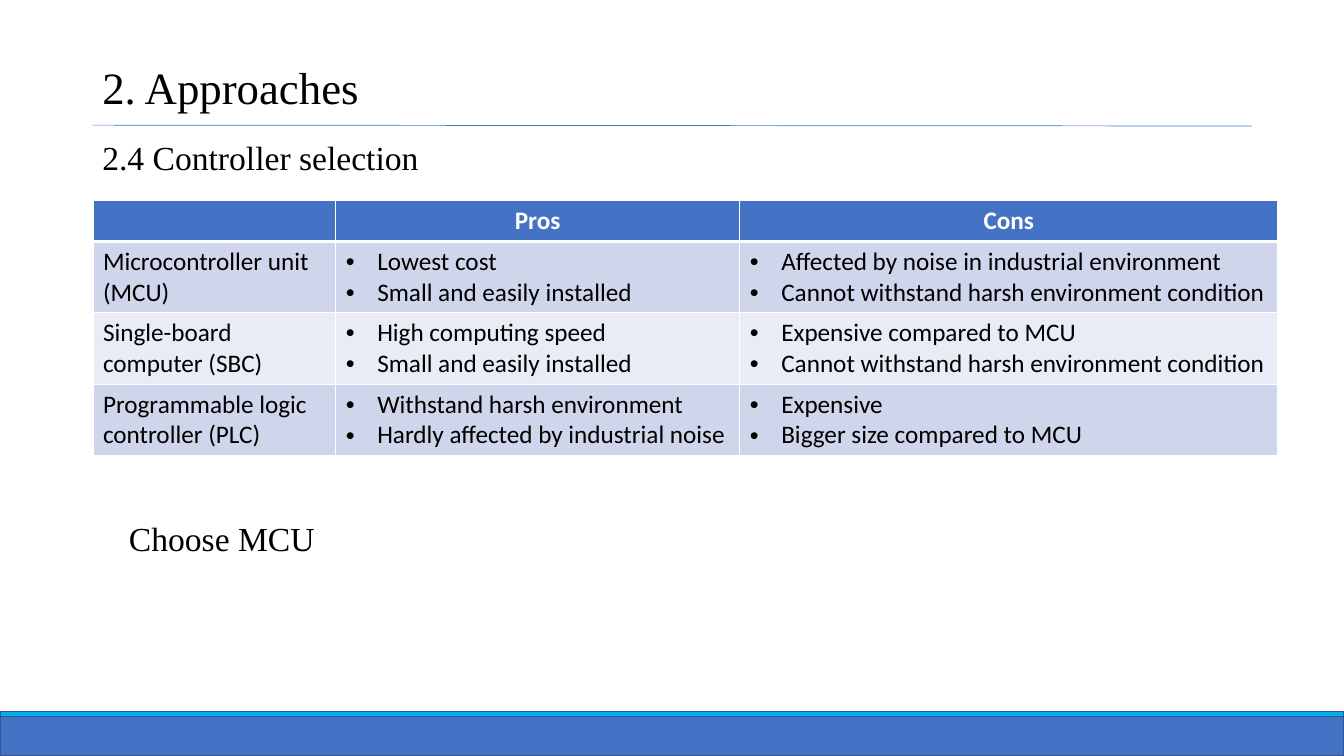
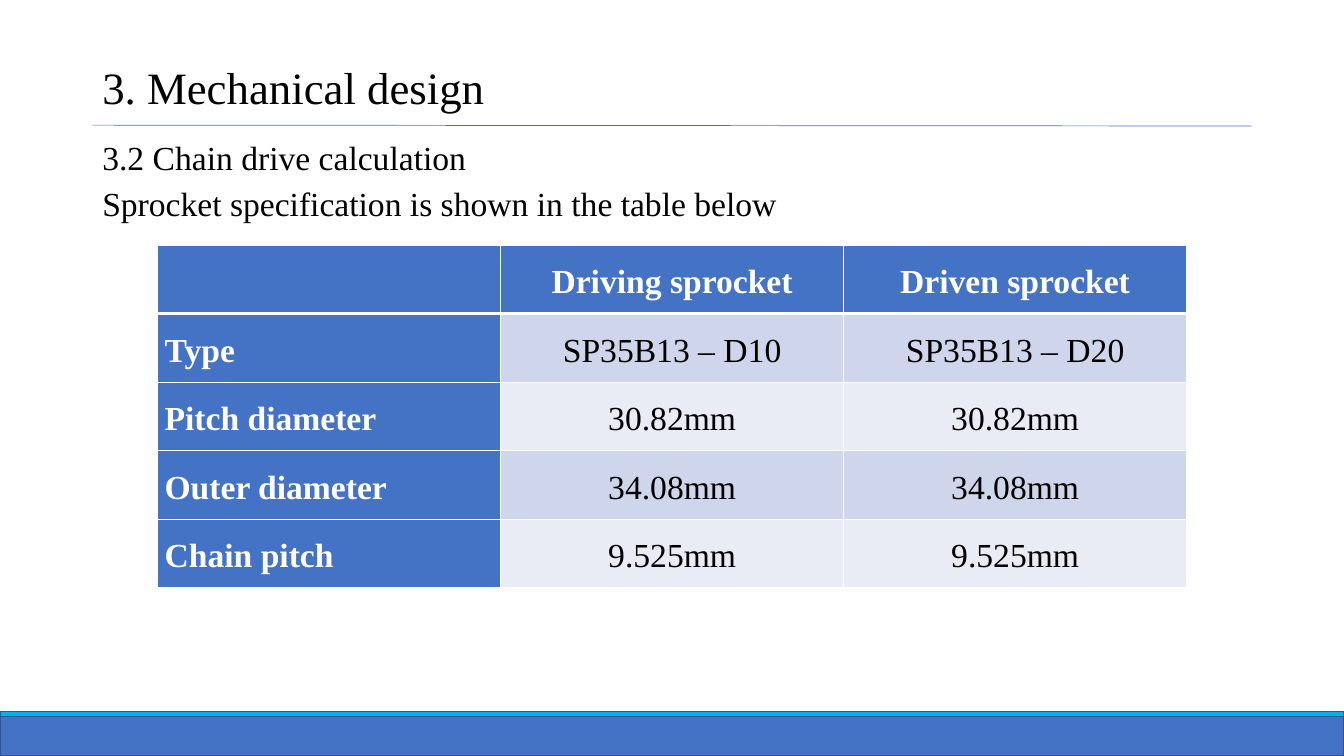
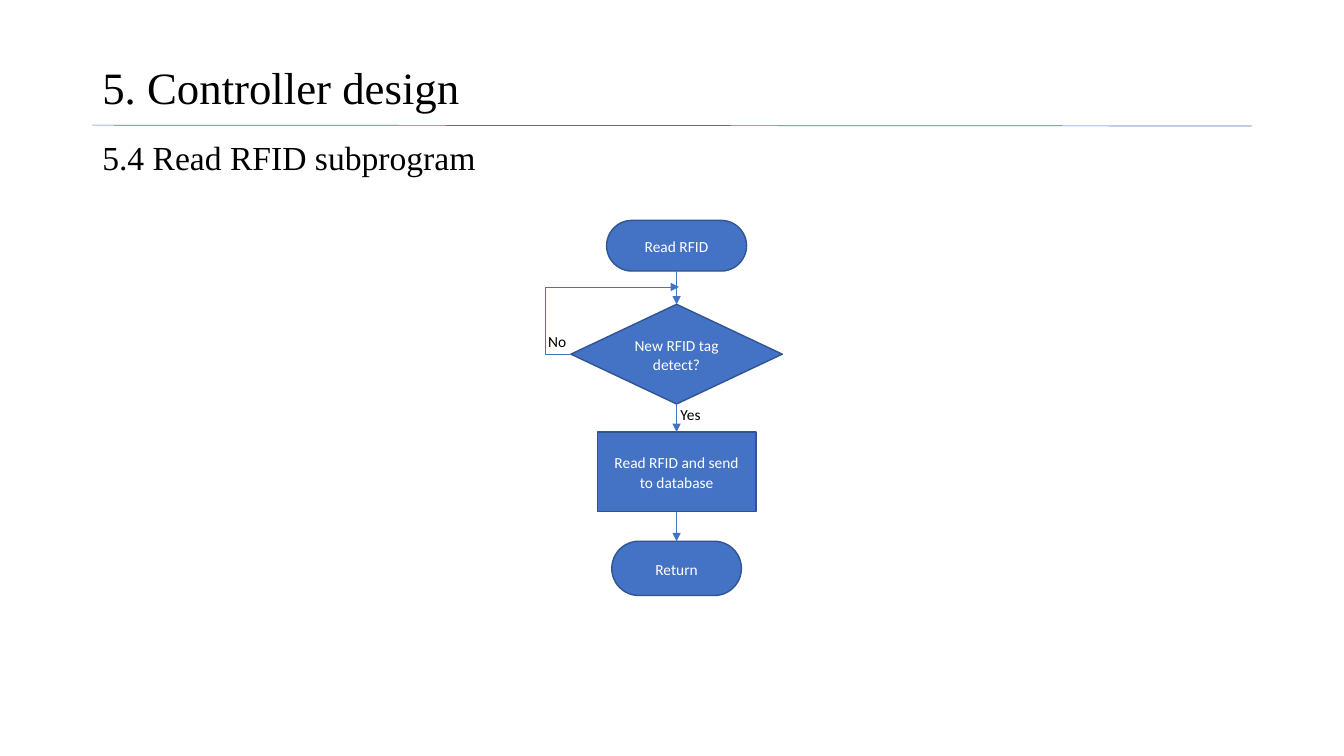
from lxml import etree
from pptx import Presentation
from pptx import util as u
from pptx.dml.color import RGBColor
from pptx.enum import shapes, text
from pptx.oxml.ns import qn

Pt = u.Pt
BLUE, EDGE, CYAN, WHITE, BLACK = "4472C4", "325491", "00B0F0", "FFFFFF", "000000"
BANDS = ["CFD5EA", "E9EBF5"]
CENTER = text.PP_ALIGN.CENTER
TIMES = {"name": "Times New Roman", "size": Pt(24)}
FLOW = {"name": "Calibri", "size": Pt(11)}
FLOW_SPACING = {"line_spacing": 1.06, "space_after": Pt(8)}
BULLET_INDENT = Pt(22.5)


def write(frame, content, font, color, spacing, bullets=False):
    frame.word_wrap = True
    for number, line in enumerate(content.split("\n")):
        paragraph = frame.add_paragraph() if number else frame.paragraphs[0]
        if bullets:
            properties = paragraph._p.get_or_add_pPr()
            properties.set("marL", str(BULLET_INDENT))
            properties.set("indent", str(-BULLET_INDENT))
            etree.SubElement(properties, qn("a:buFont"), typeface="Arial")
            etree.SubElement(properties, qn("a:buChar"), char="•")
        for name, value in spacing.items():
            setattr(paragraph, name, value)
        run = paragraph.add_run()
        run.text = line
        for name, value in font.items():
            setattr(run.font, name, value)
        run.font.color.rgb = RGBColor.from_string(color)


def block(slide, kind, place, fill, edge=None):
    shape = slide.shapes.add_shape(kind, *map(Pt, place))
    shape.shadow.inherit = False
    shape.fill.solid()
    shape.fill.fore_color.rgb = RGBColor.from_string(fill)
    if edge:
        shape.line.color.rgb = RGBColor.from_string(edge)
        shape.line.width = Pt(1)
    else:
        shape.line.fill.background()
    shape.text_frame.vertical_anchor = text.MSO_ANCHOR.MIDDLE
    return shape


deck = Presentation()
deck.slide_width, deck.slide_height = Pt(960), Pt(540)
controller, sprocket, rfid = [deck.slides.add_slide(deck.slide_layouts[6]) for _ in range(3)]
connectors = []

for slide, heading, section in [
    (controller, "2. Approaches", "2.4 Controller selection"),
    (sprocket, "3. Mechanical design", "3.2 Chain drive calculation"),
    (rfid, "5. Controller design", "5.4 Read RFID subprogram"),
]:
    title = slide.shapes.add_textbox(Pt(66), Pt(29), Pt(828), Pt(71)).text_frame
    title.vertical_anchor = text.MSO_ANCHOR.MIDDLE
    write(title, heading, TIMES | {"size": Pt(32)}, BLACK, {"line_spacing": 0.9})
    subtitle = slide.shapes.add_textbox(Pt(66), Pt(100), Pt(828), Pt(32)).text_frame
    write(subtitle, section, TIMES, BLACK, {"line_spacing": 0.8})
    connectors.append(slide.shapes.add_connector(
        shapes.MSO_CONNECTOR.STRAIGHT, Pt(66), Pt(89.4), Pt(894), Pt(90)))

for slide in (controller, sprocket):
    for top, height, fill in [(512, 28, BLUE), (508.4, 3.6, CYAN)]:
        block(slide, shapes.MSO_SHAPE.RECTANGLE, (0, top, 960, height), fill, EDGE)

for slide, left, top, height, content, leading in [
    (controller, 85, 369.4, 35, "Choose MCU", 0.9),
    (sprocket, 66, 132.4, 32, "Sprocket specification is shown in the table below", 0.8),
]:
    remark = slide.shapes.add_textbox(Pt(left), Pt(top), Pt(828), Pt(height)).text_frame
    write(remark, content, TIMES, BLACK, {"line_spacing": leading})

comparison = {
    "slide": controller, "left": 66.4, "top": 143.4,
    "widths": [173.4, 288.6, 384.4], "heights": [29, 51, 51, 51],
    "font": {"name": "Calibri", "size": Pt(18)}, "spacing": {}, "margins": {},
    "bulleted": True,
    "rows": [
        ["", "Pros", "Cons"],
        ["Microcontroller unit\n(MCU)",
         "Lowest cost\nSmall and easily installed",
         "Affected by noise in industrial environment\nCannot withstand harsh environment condition"],
        ["Single-board computer (SBC)",
         "High computing speed\nSmall and easily installed",
         "Expensive compared to MCU\nCannot withstand harsh environment condition"],
        ["Programmable logic controller (PLC)",
         "Withstand harsh environment\nHardly affected by industrial noise",
         "Expensive\nBigger size compared to MCU"],
    ],
}
specification = {
    "slide": sprocket, "left": 112.6, "top": 175,
    "widths": [245] * 3, "heights": [49] * 5,
    "font": TIMES, "spacing": {"line_spacing": 1.5, "space_after": Pt(8)},
    "margins": {"margin_left": Pt(5), "margin_right": Pt(5), "margin_top": 0, "margin_bottom": 0},
    "bulleted": False,
    "rows": [
        ["", "Driving sprocket", "Driven sprocket"],
        ["Type", "SP35B13 – D10", "SP35B13 – D20"],
        ["Pitch diameter", "30.82mm", "30.82mm"],
        ["Outer diameter", "34.08mm", "34.08mm"],
        ["Chain pitch", "9.525mm", "9.525mm"],
    ],
}
for plan in (comparison, specification):
    widths, heights = plan["widths"], plan["heights"]
    grid = plan["slide"].shapes.add_table(
        len(heights), len(widths), Pt(plan["left"]), Pt(plan["top"]),
        Pt(sum(widths)), Pt(sum(heights))).table
    grid.first_row = grid.horz_banding = False
    for column, width in zip(grid.columns, widths):
        column.width = Pt(width)
    for r, entries in enumerate(plan["rows"]):
        grid.rows[r].height = Pt(heights[r])
        for c, entry in enumerate(entries):
            cell = grid.cell(r, c)
            heading = r == 0 or (c == 0 and not plan["bulleted"])
            bullets = plan["bulleted"] and r > 0 and c > 0
            for side in "LRTB":
                thick = (r, side) in [(0, "B"), (1, "T")]
                border = etree.SubElement(
                    cell._tc.get_or_add_tcPr(), qn("a:ln" + side), w=str(Pt(3 if thick else 1)))
                solid = etree.SubElement(border, qn("a:solidFill"))
                etree.SubElement(solid, qn("a:srgbClr"), val=WHITE)
            cell.fill.solid()
            cell.fill.fore_color.rgb = RGBColor.from_string(BLUE if heading else BANDS[(r - 1) % 2])
            for name, value in plan["margins"].items():
                setattr(cell, name, value)
            if entry:
                centred = c > 0 and not bullets
                write(cell.text_frame, entry, plan["font"] | {"bold": heading},
                      WHITE if heading else BLACK,
                      plan["spacing"] | ({"alignment": CENTER} if centred else {}), bullets)

for answer, left, top in [("No", 384.5, 234), ("Yes", 479, 286)]:
    label = block(rfid, shapes.MSO_SHAPE.RECTANGLE, (left, top, 33, 18.7), WHITE)
    write(label.text_frame, answer, FLOW, BLACK, FLOW_SPACING | {"alignment": text.PP_ALIGN.LEFT})

axis = 483.3
steps = []
for step, kind, top, width, height in [
    ("Read RFID", shapes.MSO_SHAPE.ROUNDED_RECTANGLE, 157.4, 100, 36.2),
    ("New RFID tag detect?", shapes.MSO_SHAPE.DIAMOND, 217.4, 151, 71.2),
    ("Read RFID and send to database", shapes.MSO_SHAPE.RECTANGLE, 308.6, 113.4, 56.8),
    ("Return", shapes.MSO_SHAPE.ROUNDED_RECTANGLE, 386.6, 92.6, 38.8),
]:
    node = block(rfid, kind, (axis - width / 2, top, width, height), BLUE, EDGE)
    if kind == shapes.MSO_SHAPE.ROUNDED_RECTANGLE:
        node.adjustments[0] = 0.5
    write(node.text_frame, step, FLOW, WHITE, FLOW_SPACING | {"alignment": CENTER})
    steps.append(node)

arrows = []
for upper, lower in zip(steps, steps[1:]):
    arrow = rfid.shapes.add_connector(shapes.MSO_CONNECTOR.STRAIGHT, 0, 0, 0, 0)
    arrow.begin_connect(upper, 2)
    arrow.end_connect(lower, 0)
    arrows.append(arrow)

decision = steps[1]
retry = rfid.shapes.add_connector(
    shapes.MSO_CONNECTOR.ELBOW, decision.left, decision.top + decision.height // 2,
    Pt(485), Pt(205))
bend = retry._element.spPr.find(qn("a:prstGeom")).get_or_add_avLst()
etree.SubElement(bend, qn("a:gd"), name="adj1", fmla="val -23300")
arrows.append(retry)

for connector in connectors + arrows:
    connector.line.color.rgb = RGBColor.from_string(BLUE)
    connector.line.width = Pt(0.5)
    etree.SubElement(connector._element.spPr, qn("a:effectLst"))
for arrow in arrows:
    etree.SubElement(arrow.line._get_or_add_ln(), qn("a:tailEnd"), type="triangle")

deck.save("out.pptx")
